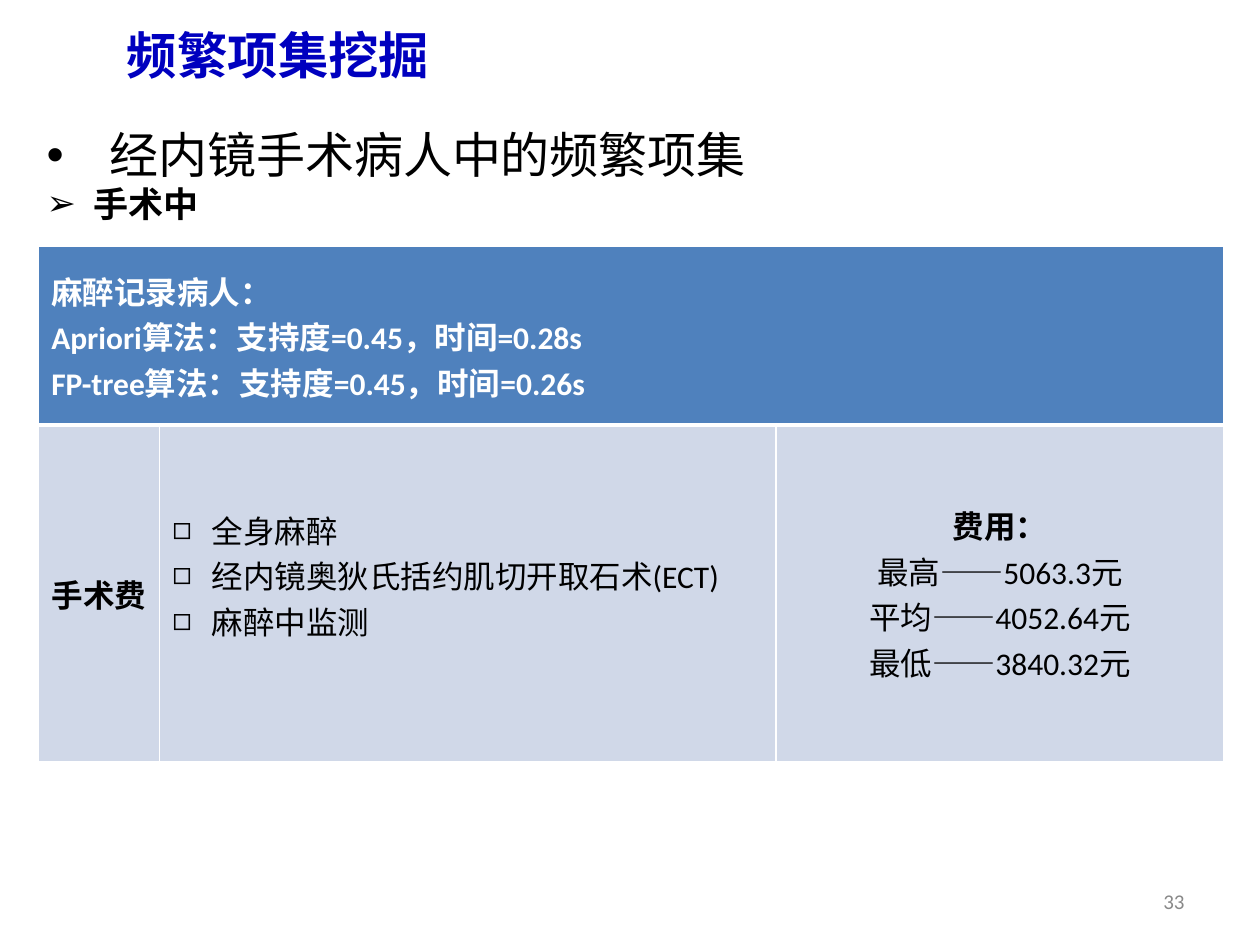
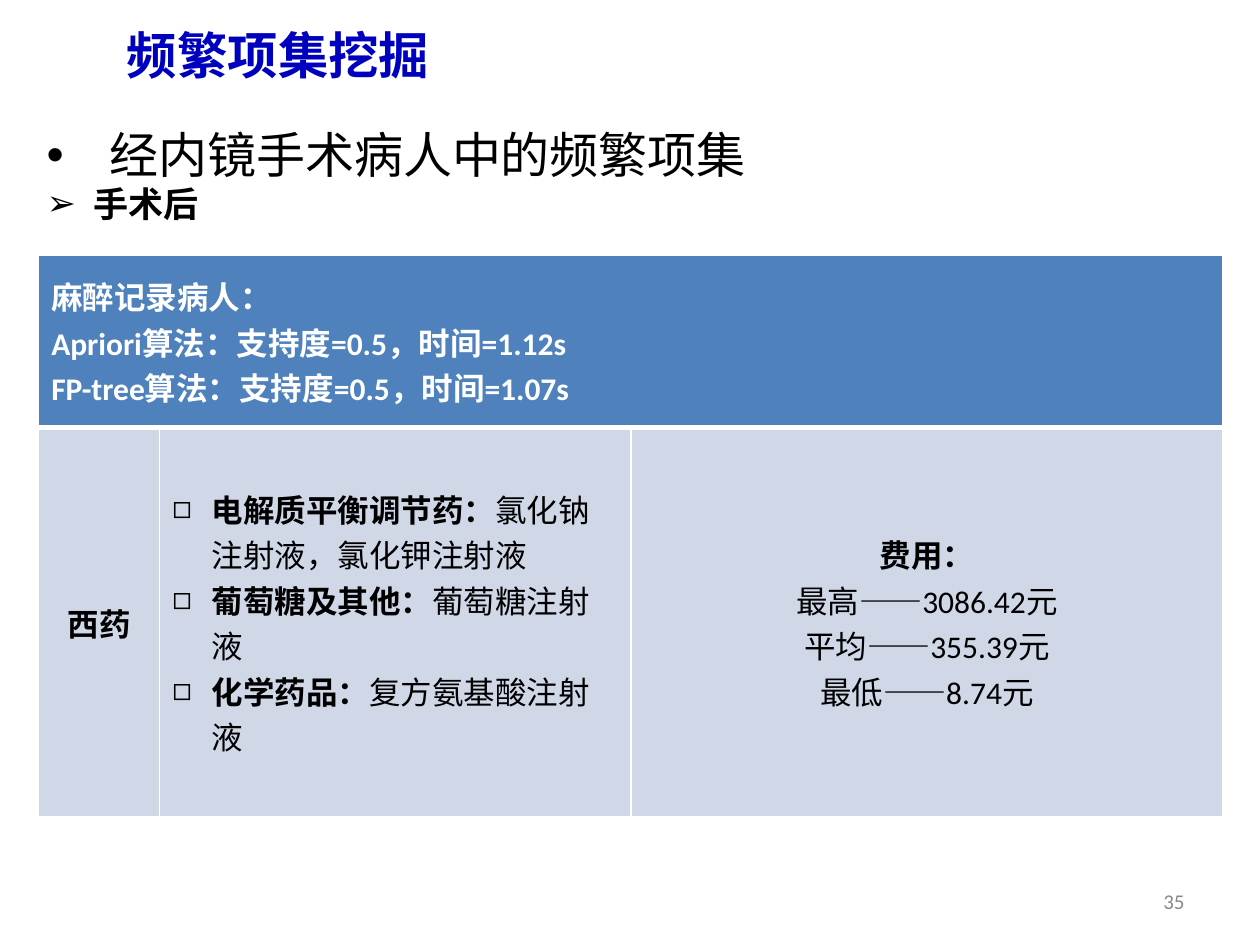
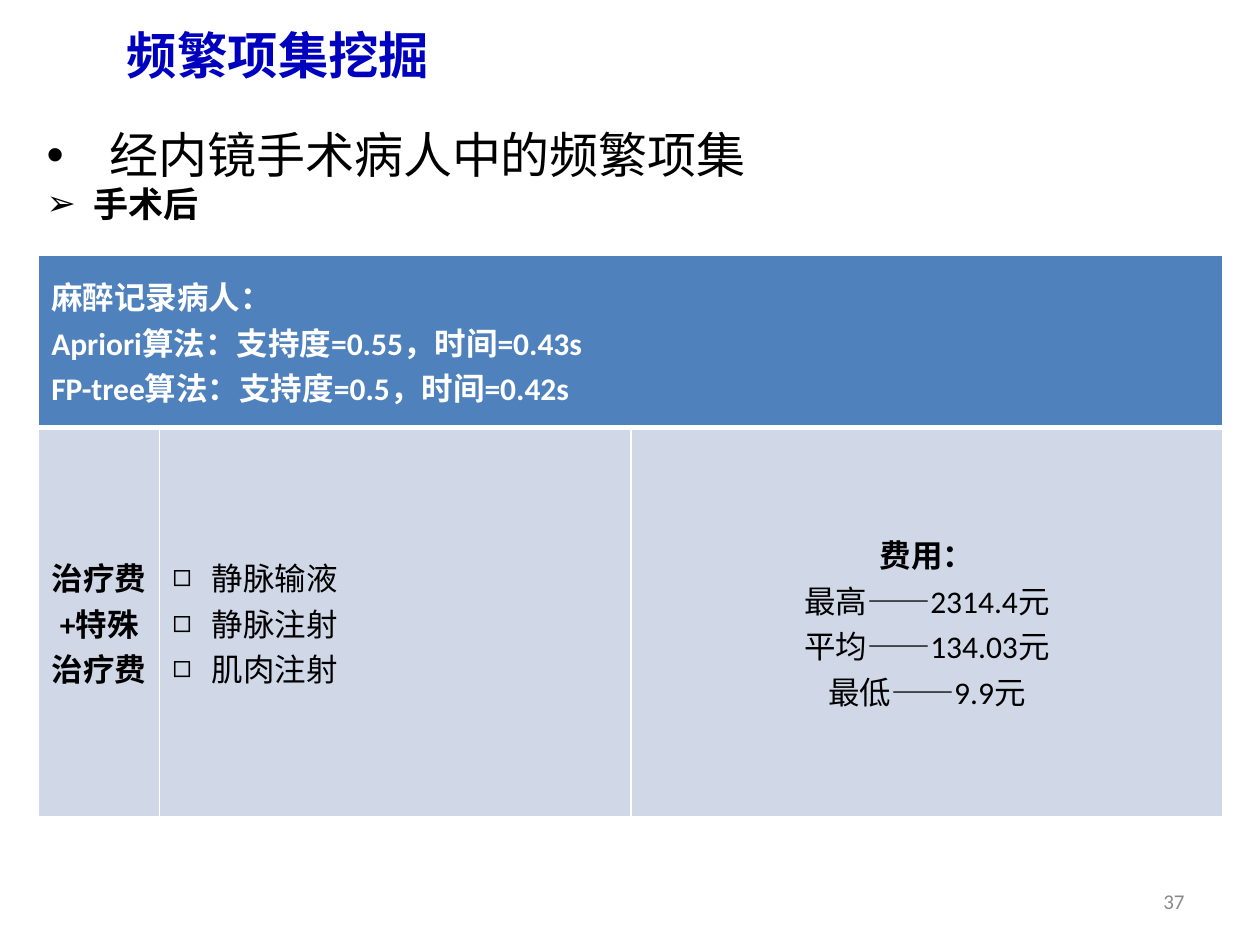
import dataclasses

import pptx
import pptx.dml.color
import pptx.enum.text
import pptx.oxml.ns
import pptx.util
from lxml import etree

Cm = pptx.util.Cm
Pt = pptx.util.Pt
ALIGN = pptx.enum.text.PP_ALIGN
MIDDLE = pptx.enum.text.MSO_ANCHOR.MIDDLE
qn = pptx.oxml.ns.qn


@dataclasses.dataclass(frozen=True)
class Theme:
    title_blue: str = "0000BF"
    header_fill: str = "4F81BD"
    body_fill: str = "D0D8E8"
    ink: str = "000000"
    paper: str = "FFFFFF"
    page_grey: str = "898989"
    title_size: float = 28.8
    topic_size: float = 28
    phase_size: float = 20
    table_size: float = 18
    page_size: float = 12
    title_font: str = "Noto Sans CJK SC"
    topic_font: str = "Noto Sans CJK JP"
    phase_font: str = "Arial"
    table_font: str = "Calibri"
    chinese_font: str = "Noto Sans CJK SC"


@dataclasses.dataclass(frozen=True)
class TableGrid:
    """Table measures in centimetres."""
    top: float
    columns: tuple
    rows: tuple


@dataclasses.dataclass(frozen=True)
class Findings:
    page: int
    phase: str
    grid: TableGrid
    apriori: tuple
    fp_tree: tuple
    category: str
    items: tuple
    costs: tuple
    items_bottom: float = 0.13


DURING_GRID = TableGrid(4.97, (2.44, 12.42, 9.04), (3.6, 6.78))
AFTER_GRID = TableGrid(5.14, (2.44, 9.5, 11.93), (3.48, 7.85))

FINDINGS = (
    Findings(33, "手术中", DURING_GRID, ("0.45", "0.28"), ("0.45", "0.26"), "手术费",
             (("", "全身麻醉"), ("", "经内镜奥狄氏括约肌切开取石术(ECT)"), ("", "麻醉中监测")),
             ("5063.3", "4052.64", "3840.32"), items_bottom=0.87),
    Findings(35, "手术后", AFTER_GRID, ("0.5", "1.12"), ("0.5", "1.07"), "西药",
             (("电解质平衡调节药：", "氯化钠注射液，氯化钾注射液"),
              ("葡萄糖及其他：", "葡萄糖注射液"),
              ("化学药品：", "复方氨基酸注射液")),
             ("3086.42", "355.39", "8.74")),
    Findings(37, "手术后", AFTER_GRID, ("0.55", "0.43"), ("0.5", "0.42"), "治疗费+特殊治疗费",
             (("", "静脉输液"), ("", "静脉注射"), ("", "肌肉注射")),
             ("2314.4", "134.03", "9.9")),
)


class Deck:
    def __init__(self, theme):
        self.theme = theme
        self.presentation = pptx.Presentation()
        self.presentation.slide_width = Cm(25.4)
        self.presentation.slide_height = Cm(19.05)
        self.slide = None

    def new_slide(self):
        self.slide = self.presentation.slides.add_slide(self.presentation.slide_layouts[6])

    def style(self, paragraph, size, font, color, bold=False, chinese=None):
        for run in paragraph.runs:
            run.font.size = Pt(size)
            run.font.bold = bold
            run.font.name = font
            run.font.color.rgb = pptx.dml.color.RGBColor.from_string(color)
            etree.SubElement(run.font._element, qn("a:ea")).set(
                "typeface", chinese or self.theme.chinese_font)

    def bullet(self, paragraph, mark, indent):
        properties = paragraph._p.get_or_add_pPr()
        properties.set("marL", str(Cm(indent)))
        properties.set("indent", str(-Cm(indent)))
        etree.SubElement(properties, qn("a:buFont")).set("typeface", "Arial")
        etree.SubElement(properties, qn("a:buChar")).set("char", mark)

    def text_box(self, left, top, width, height):
        frame = self.slide.shapes.add_textbox(Cm(left), Cm(top), Cm(width), Cm(height)).text_frame
        frame.word_wrap = True
        return frame

    def title(self, text):
        frame = self.text_box(2.31, 0, 22.86, 2.2)
        frame.vertical_anchor = MIDDLE
        frame.text = text
        theme = self.theme
        self.style(frame.paragraphs[0], theme.title_size, theme.title_font, theme.title_blue, True)

    def outline(self, topic, phase):
        theme = self.theme
        frame = self.text_box(0.69, 2.51, 23.44, 14.5)
        frame.text = f"{topic}\n{phase}"
        topic_line, phase_line = frame.paragraphs
        for line in frame.paragraphs:
            line.line_spacing = 0.9
        phase_line.space_before = Pt(2)
        self.bullet(topic_line, "•", 1.27)
        self.bullet(phase_line, "➢", 0.95)
        self.style(topic_line, theme.topic_size, theme.topic_font, theme.ink,
                   chinese=theme.topic_font)
        self.style(phase_line, theme.phase_size, theme.phase_font, theme.ink, True)

    def page_number(self, number):
        frame = self.text_box(18.21, 17.65, 5.92, 1.02)
        frame.vertical_anchor = MIDDLE
        frame.text = str(number)
        frame.paragraphs[0].alignment = ALIGN.RIGHT
        self.style(frame.paragraphs[0], self.theme.page_size, self.theme.table_font,
                   self.theme.page_grey)

    def borders(self, cell, **widths):
        """Draw white borders on a filled cell; widths are in points, by side L, R, T, B."""
        properties = cell._tc.get_or_add_tcPr()
        for position, side in enumerate("LRTB"):
            line = etree.Element(qn(f"a:ln{side}"), w=str(Pt(widths.get(side, 1))))
            fill = etree.SubElement(line, qn("a:solidFill"))
            etree.SubElement(fill, qn("a:srgbClr")).set("val", self.theme.paper)
            properties.insert(position, line)

    def fill_cell(self, cell, lines, color, mark=None, centred=False):
        """Write lines of (bold lead, plain rest) into a cell."""
        cell.vertical_anchor = MIDDLE
        frame = cell.text_frame
        for number, parts in enumerate(lines):
            paragraph = frame.add_paragraph() if number else frame.paragraphs[0]
            paragraph.alignment = ALIGN.CENTER if centred else ALIGN.LEFT
            if mark:
                self.bullet(paragraph, mark, 0.79)
            weights = []
            for text, bold in zip(parts, (True, False)):
                if text:
                    paragraph.add_run().text = text
                    weights.append(bold)
            self.style(paragraph, self.theme.table_size, self.theme.table_font, color)
            for run, bold in zip(paragraph.runs, weights):
                run.font.bold = bold

    def findings_table(self, findings):
        theme, grid = self.theme, findings.grid
        table = self.slide.shapes.add_table(
            2, 3, Cm(0.78), Cm(grid.top), Cm(sum(grid.columns)), Cm(sum(grid.rows))).table
        table.first_row = table.horz_banding = False
        for column, width in zip(table.columns, grid.columns):
            column.width = Cm(width)
        for row, height, color, thick_side in zip(
                table.rows, grid.rows, (theme.header_fill, theme.body_fill), "BT"):
            row.height = Cm(height)
            for cell in row.cells:
                cell.fill.solid()
                cell.fill.fore_color.rgb = pptx.dml.color.RGBColor.from_string(color)
                self.borders(cell, **{thick_side: 3})

        header = table.cell(0, 0)
        header.merge(table.cell(0, 2))
        results = (("Apriori", findings.apriori), ("FP-tree", findings.fp_tree))
        self.fill_cell(header, [("麻醉记录病人：", "")] + [
            (f"{name}算法：支持度={support}，时间={seconds}s", "")
            for name, (support, seconds) in results], theme.paper)

        category, items, costs = table.rows[1].cells
        self.fill_cell(category, [(findings.category, "")], theme.ink, centred=True)
        self.fill_cell(items, findings.items, theme.ink, mark="◻")
        items.margin_bottom = Cm(findings.items_bottom)
        self.fill_cell(costs, [("费用：", "")] + [
            ("", f"{level}——{amount}元")
            for level, amount in zip(("最高", "平均", "最低"), findings.costs)],
            theme.ink, centred=True)


def main():
    deck = Deck(Theme())
    for findings in FINDINGS:
        deck.new_slide()
        deck.title("频繁项集挖掘")
        deck.outline("经内镜手术病人中的频繁项集", findings.phase)
        deck.page_number(findings.page)
        deck.findings_table(findings)
    deck.presentation.save("out.pptx")


if __name__ == "__main__":
    main()
